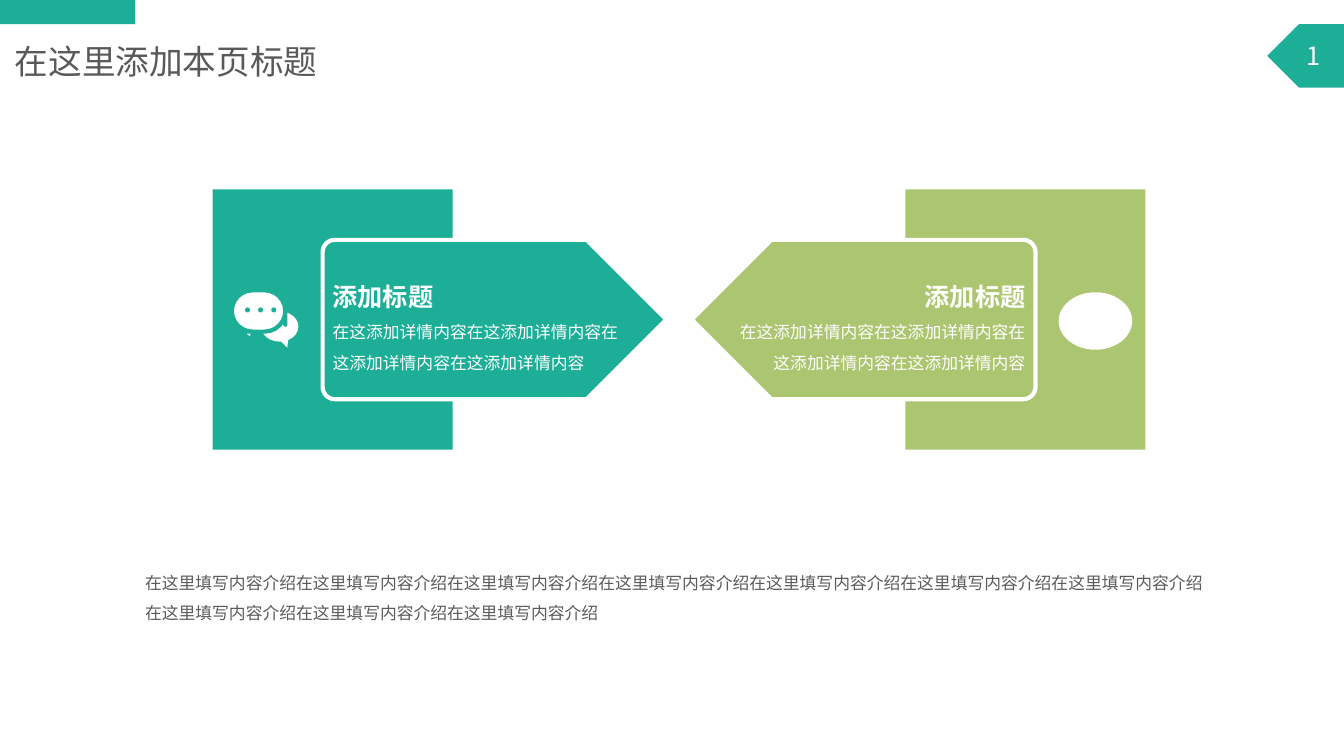
from math import cos, pi, sin

from lxml.etree import SubElement
from pptx import Presentation
from pptx.dml.color import RGBColor
from pptx.enum.shapes import MSO_SHAPE
from pptx.enum.text import MSO_ANCHOR, MSO_AUTO_SIZE, PP_ALIGN
from pptx.oxml.ns import qn
from pptx.util import Inches, Pt

COLORS = {"teal": "1CAE97", "green": "ACC571", "white": "FFFFFF",
          "title": "58595B", "body": "5A5B5D"}
FONT = "Noto Sans CJK SC"
DETAIL = "在这添加详情内容" * 4
INTRODUCTION = "在这里填写内容介绍" * 10


def rgb(name):
    """Return the named colour."""
    return RGBColor.from_string(COLORS[name])


def paint(shape, fill, line=None, width=3):
    """Give a shape a flat fill and an optional outline."""
    shape.shadow.inherit = False
    shape.fill.solid()
    shape.fill.fore_color.rgb = rgb(fill)
    if line:
        shape.line.color.rgb = rgb(line)
        shape.line.width = Pt(width)
    else:
        shape.line.fill.background()


def add_block(page, kind, box, fill, line=None):
    """Add a painted preset shape in a box given in inches."""
    shape = page.shapes.add_shape(kind, *map(Inches, box))
    paint(shape, fill, line)
    return shape


def write(para, text, size, color, bold=False, align=PP_ALIGN.LEFT, spacing=1.0):
    """Fill a paragraph and format its run for Latin and East Asian text."""
    para.text = text
    para.alignment = align
    para.line_spacing = spacing
    for span in para.runs:
        span.font.size = Pt(size)
        span.font.bold = bold
        span.font.color.rgb = rgb(color)
        span.font.name = FONT
        SubElement(span.font._element, qn("a:ea"), typeface=FONT)


def add_text(page, box, text, size, color, spacing=1.0):
    """Add a wrapped text box."""
    frame = page.shapes.add_textbox(*map(Inches, box)).text_frame
    frame.word_wrap = True
    frame.auto_size = MSO_AUTO_SIZE.SHAPE_TO_FIT_TEXT
    write(frame.paragraphs[0], text, size, color, spacing=spacing)


def add_header(page, width):
    """Place the corner bar, page title and page number tag."""
    tag = add_block(page, MSO_SHAPE.PENTAGON, (width - 0.76, 0.24, 0.76, 0.63), "teal")
    tag._element.spPr.get_or_add_xfrm().set("flipH", "1")
    tag.text_frame.vertical_anchor = MSO_ANCHOR.MIDDLE
    write(tag.text_frame.paragraphs[0], "1", 18, "white", align=PP_ALIGN.CENTER)
    add_block(page, MSO_SHAPE.RECTANGLE, (0, 0, 1.34, 0.24), "teal")
    add_text(page, (0.05, 0.36, 3.36, 0.5), "在这里添加本页标题", 24, "title")


def add_arrow(page, box, color, mirrored):
    """Draw a round-cornered arrow with its heading and detail text."""
    left, top, width, height = box
    radius, tip, steps = 0.12, height / 2, 8
    points = [(width - tip, 0), (width, tip), (width - tip, height)]
    for center_y, start in ((height - radius, pi / 2), (radius, pi)):
        for step in range(steps + 1):
            angle = start + pi / 2 * step / steps
            points.append((radius + radius * cos(angle), center_y + radius * sin(angle)))
    corners = [(Inches(left + (width - x if mirrored else x)), Inches(top + y))
               for x, y in points]
    builder = page.shapes.build_freeform(*corners[0])
    builder.add_line_segments(corners[1:], close=True)
    arrow = builder.convert_to_shape()
    paint(arrow, color, "white")
    frame = arrow.text_frame
    frame.word_wrap = True
    frame.vertical_anchor = MSO_ANCHOR.MIDDLE
    frame.margin_left = Inches(0.32 if mirrored else 0.1)
    frame.margin_right = Inches(0.1 if mirrored else 0.32)
    align = PP_ALIGN.RIGHT if mirrored else PP_ALIGN.LEFT
    write(frame.paragraphs[0], "添加标题", 18, "white", True, align, 1.5)
    write(frame.add_paragraph(), DETAIL, 12, "white", False, align, 1.5)


def add_panel(page, box, color, mirrored=False):
    """Place a square block and the arrow that leaves it."""
    left, top, width, height = box
    block_width, arrow_width, arrow_height = 2.38, 3.41, 1.58
    block_left = left + width - block_width if mirrored else left
    arrow_left = left if mirrored else left + width - arrow_width
    add_block(page, MSO_SHAPE.RECTANGLE, (block_left, top, block_width, height), color)
    arrow_top = top + (height - arrow_height) / 2
    add_arrow(page, (arrow_left, arrow_top, arrow_width, arrow_height), color, mirrored)


def add_chat_icon(page, left, top):
    """Draw two speech bubbles, the front one with three dots."""
    back = add_block(page, MSO_SHAPE.OVAL_CALLOUT,
                     (left + 0.27, top + 0.19, 0.37, 0.3), "white")
    front = add_block(page, MSO_SHAPE.ROUNDED_RECTANGULAR_CALLOUT,
                      (left - 0.02, top - 0.02, 0.53, 0.41), "white", "teal")
    for bubble, tail in ((back, (0.2, 0.7)), (front, (-0.15, 0.7, 0.5))):
        for index, value in enumerate(tail):
            bubble.adjustments[index] = value
    for index in range(3):
        add_block(page, MSO_SHAPE.OVAL,
                  (left + 0.11 + 0.13 * index, top + 0.15, 0.05, 0.05), "teal")


def main():
    """Build and save the slide."""
    deck = Presentation()
    deck.slide_width, deck.slide_height = Inches(13.33), Inches(7.5)
    page = deck.slides.add_slide(deck.slide_layouts[6])
    add_header(page, 13.33)
    add_panel(page, (2.11, 1.88, 4.5, 2.58), "teal")
    add_panel(page, (6.86, 1.88, 4.5, 2.58), "green", mirrored=True)
    add_text(page, (1.34, 5.53, 10.79, 0.71), INTRODUCTION, 12, "body", 1.5)
    add_chat_icon(page, 2.32, 2.9)
    add_block(page, MSO_SHAPE.OVAL, (10.5, 2.9, 0.73, 0.57), "white")
    deck.save("out.pptx")


if __name__ == "__main__":
    main()
